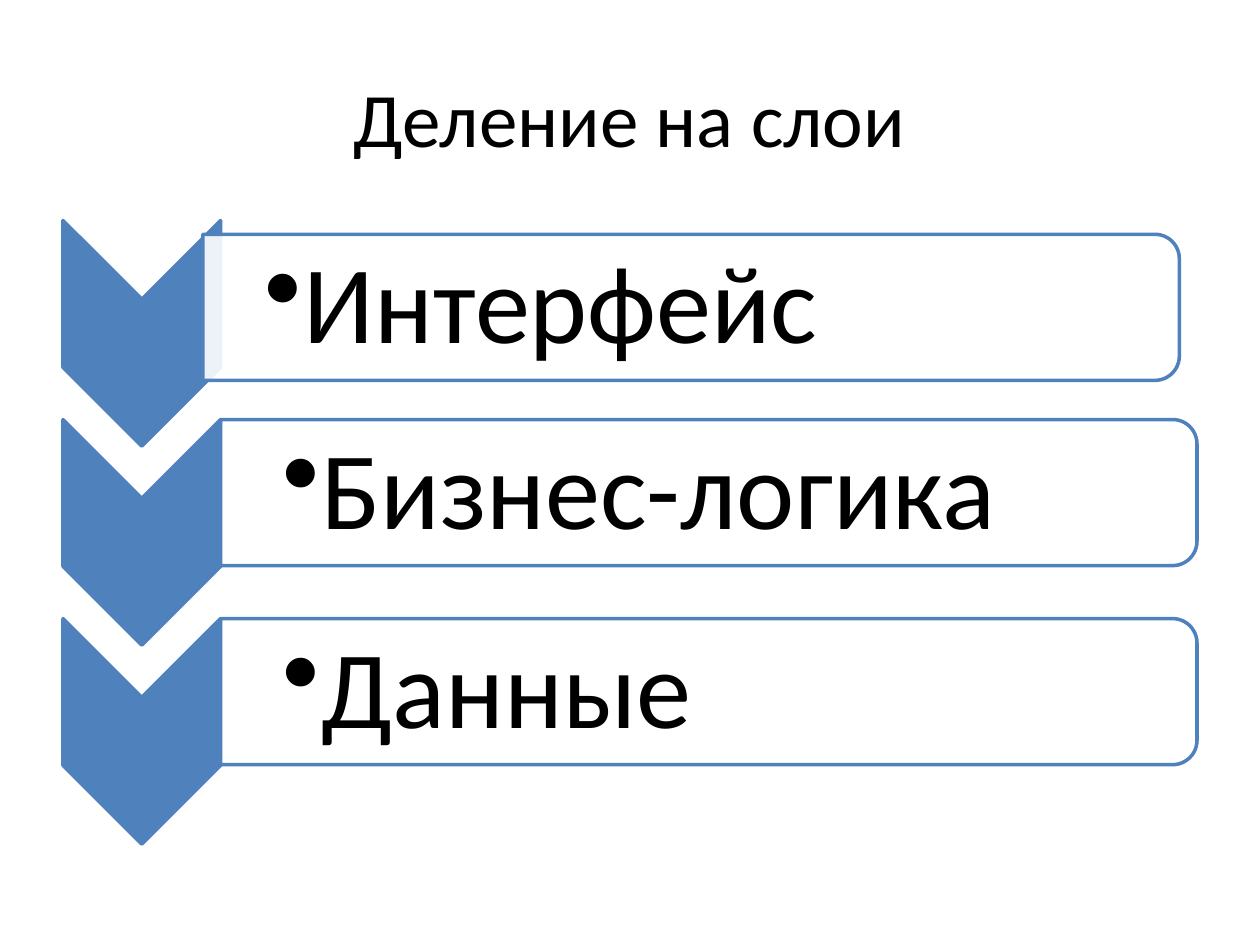
import pptx
import pptx.dml.color
import pptx.enum.shapes
import pptx.enum.text
import pptx.oxml
import pptx.oxml.ns
import pptx.util
from pptx.util import Inches

COLOURS = {"accent": "4F81BD", "panel": "FFFFFF", "text": "000000"}
FONT = "Calibri"
LAYERS = ["Интерфейс", "Бизнес-логика", "Данные"]
SHAPES = pptx.enum.shapes.MSO_SHAPE


def colour(name):
    return pptx.dml.color.RGBColor.from_string(COLOURS[name])


def add_text(page, left, top, width, height, text, size):
    box = page.shapes.add_textbox(left, top, width, height)
    frame = box.text_frame
    frame.word_wrap = True
    frame.vertical_anchor = pptx.enum.text.MSO_ANCHOR.MIDDLE
    frame.text = text
    para = frame.paragraphs[0]
    span = para.runs[0]
    span.font.size = pptx.util.Pt(size)
    span.font.name = FONT
    span.font.color.rgb = colour("text")
    return frame, para


def add_turned_shape(page, kind, left, top, width, height, fill):
    """Place a shape turned by 90 degrees so that it covers the given box."""
    shift = (width - height) // 2
    shape = page.shapes.add_shape(kind, left + shift, top - shift, height, width)
    shape.rotation = 90
    shape.shadow.inherit = False
    shape.fill.solid()
    shape.fill.fore_color.rgb = colour(fill)
    shape.line.color.rgb = colour("accent")
    shape.line.width = pptx.util.Pt(2)
    return shape


def set_opacity(shape, percent):
    tint = shape.fill._xPr.find(".//" + pptx.oxml.ns.qn("a:srgbClr"))
    alpha = pptx.oxml.parse_xml(
        f'<a:alpha {pptx.oxml.ns.nsdecls("a")} val="{percent * 1000}"/>')
    tint.append(alpha)


def set_bullet(para, indent):
    properties = para._p.get_or_add_pPr()
    properties.set("marL", str(indent))
    properties.set("indent", str(-indent))
    properties.append(pptx.oxml.parse_xml(
        f'<a:buChar {pptx.oxml.ns.nsdecls("a")} char="•"/>'))


def add_title(page, left, top, width, height):
    frame, para = add_text(page, left, top, width, height, "Деление на слои", 44)
    para.alignment = pptx.enum.text.PP_ALIGN.CENTER


def add_layer(page, left, top, text, panel_dx=0, panel_dy=0):
    # Arrow pointing down
    chevron_width = Inches(1.25)
    add_turned_shape(page, SHAPES.CHEVRON, left, top,
                     chevron_width, Inches(1.79), "accent")

    # Panel rounded on its right side
    panel_left = left + chevron_width + panel_dx
    panel_top = top + panel_dy
    panel = add_turned_shape(page, SHAPES.ROUND_2_SAME_RECTANGLE, panel_left,
                             panel_top, Inches(7.75), Inches(1.16), "panel")
    set_opacity(panel, 90)

    # Layer name
    frame, para = add_text(page, panel_left, panel_top + Inches(0.06),
                           Inches(7.69), Inches(1.05), text, 63)
    frame.margin_left = Inches(0.49)
    frame.margin_top = frame.margin_right = frame.margin_bottom = Inches(0.04)
    para.line_spacing = 0.9
    set_bullet(para, Inches(0.31))


def add_layers(page, left, top, pitch):
    for index, text in enumerate(LAYERS):
        # The first panel sits a little to the left of and below the others
        offset = (Inches(-0.14), Inches(0.11)) if index == 0 else (0, 0)
        add_layer(page, left, top + index * pitch, text, *offset)


def main():
    deck = pptx.Presentation()
    deck.slide_width, deck.slide_height = Inches(10), Inches(7.5)
    page = deck.slides.add_slide(deck.slide_layouts[6])
    add_title(page, Inches(0.5), Inches(0.3), Inches(9), Inches(1.25))
    add_layers(page, Inches(0.5), Inches(1.75), Inches(1.58))
    deck.save("out.pptx")


if __name__ == "__main__":
    main()
